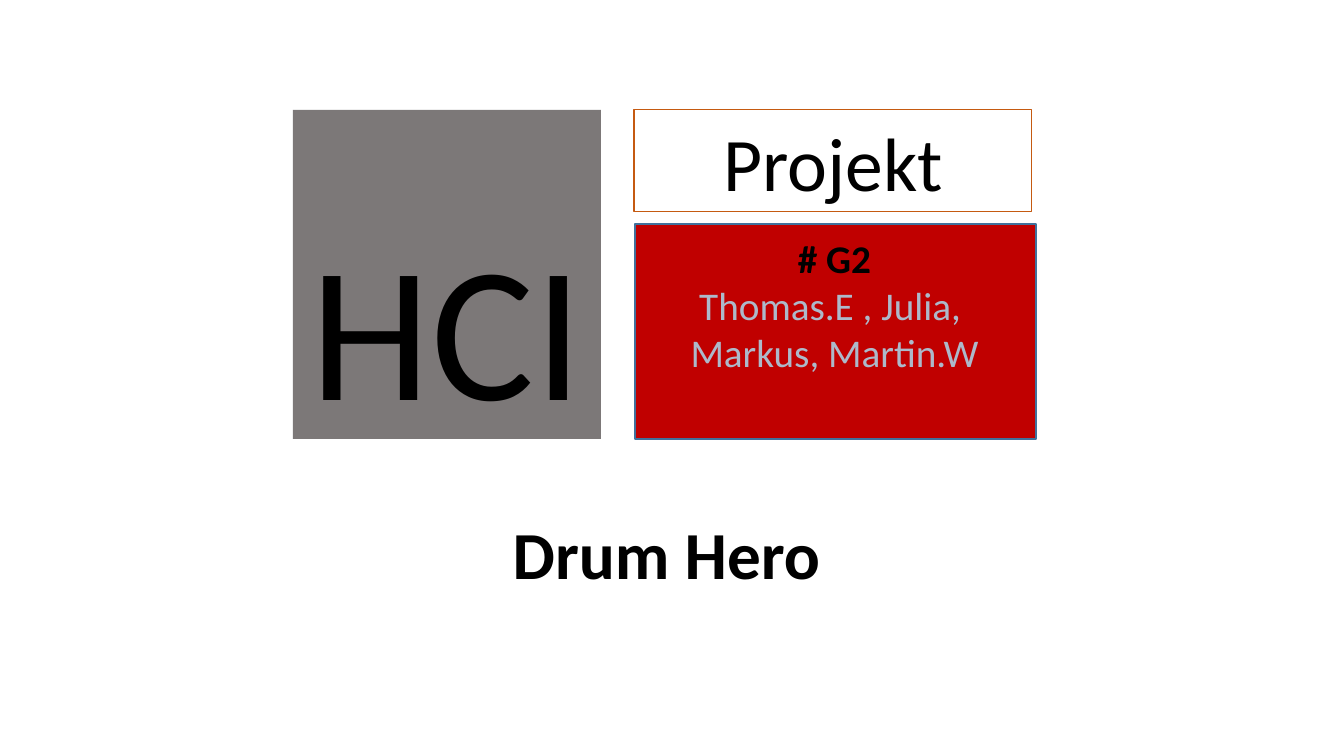
from dataclasses import dataclass

from lxml.etree import SubElement
from pptx import Presentation
from pptx.dml.color import RGBColor
from pptx.enum.shapes import MSO_SHAPE as Shape
from pptx.enum.text import MSO_ANCHOR as Anchor, PP_ALIGN as Align
from pptx.oxml.ns import qn
from pptx.util import Emu, Pt

EMU_PER_PX = 914400 / 100.8


@dataclass(frozen=True)
class Theme:
    font: str = "Calibri"
    ink: str = "000000"
    paper: str = "FFFFFF"
    grey: str = "767171"
    red: str = "C00000"
    red_edge: str = "41719C"
    orange_edge: str = "C55A11"
    pale_blue: str = "ADB9CA"
    course_size: int = 138
    heading_size: int = 54
    title_size: int = 48
    team_size: int = 28


def px(length):
    return Emu(round(length * EMU_PER_PX))


class SlideBuilder:
    def __init__(self, slide, theme):
        self.slide = slide
        self.theme = theme

    def panel(self, box, fill, edge=None, edge_width=1, opacity=100):
        panel = self.slide.shapes.add_shape(Shape.RECTANGLE, *map(px, box))
        panel.shadow.inherit = False
        panel.fill.solid()
        panel.fill.fore_color.rgb = RGBColor.from_string(fill)
        if opacity < 100:
            color = panel.element.spPr.find(qn("a:solidFill"))[0]
            SubElement(color, qn("a:alpha"), val=str(opacity * 1000))
        if edge:
            panel.line.color.rgb = RGBColor.from_string(edge)
            panel.line.width = Pt(edge_width)
        else:
            panel.line.fill.background()
        return panel

    def text_box(self, box):
        return self.slide.shapes.add_textbox(*map(px, box))

    def set_text(self, shape, lines, size, anchor=Anchor.TOP):
        """Each line is (wording, colour, bold)."""
        frame = shape.text_frame
        frame.word_wrap = True
        frame.vertical_anchor = anchor
        for index, (wording, color, bold) in enumerate(lines):
            paragraph = frame.add_paragraph() if index else frame.paragraphs[0]
            paragraph.text = wording
            paragraph.alignment = Align.CENTER
            font = paragraph.font
            font.name = self.theme.font
            font.size = Pt(size)
            font.bold = bold
            font.color.rgb = RGBColor.from_string(color)


def main():
    theme = Theme()
    deck = Presentation()
    deck.slide_width, deck.slide_height = px(1344), px(756)
    builder = SlideBuilder(deck.slides.add_slide(deck.slide_layouts[6]), theme)

    # Team panel with its members
    builder.panel((635, 224, 401, 215), theme.red, theme.red_edge)
    team = builder.text_box((622, 229, 425, 152))
    builder.set_text(team, [
        ("# G2", theme.ink, True),
        ("Thomas.E , Julia, ", theme.pale_blue, False),
        ("Markus, Martin.W", theme.pale_blue, False),
    ], theme.team_size)

    # Project heading
    heading = builder.panel((634, 110, 398, 102), theme.paper, theme.orange_edge, 0.75)
    builder.set_text(heading, [("Projekt", theme.ink, False)], theme.heading_size, Anchor.MIDDLE)

    # Course block
    course = builder.panel((293, 110, 308, 329), theme.grey, opacity=95)
    course.text_frame.margin_bottom = 0
    builder.set_text(course, [("HCI", theme.ink, False)], theme.course_size, Anchor.BOTTOM)

    # Project title
    title = builder.text_box((238, 507, 857, 162))
    builder.set_text(title, [("Drum Hero", theme.ink, True)], theme.title_size)

    deck.save("out.pptx")


if __name__ == "__main__":
    main()
